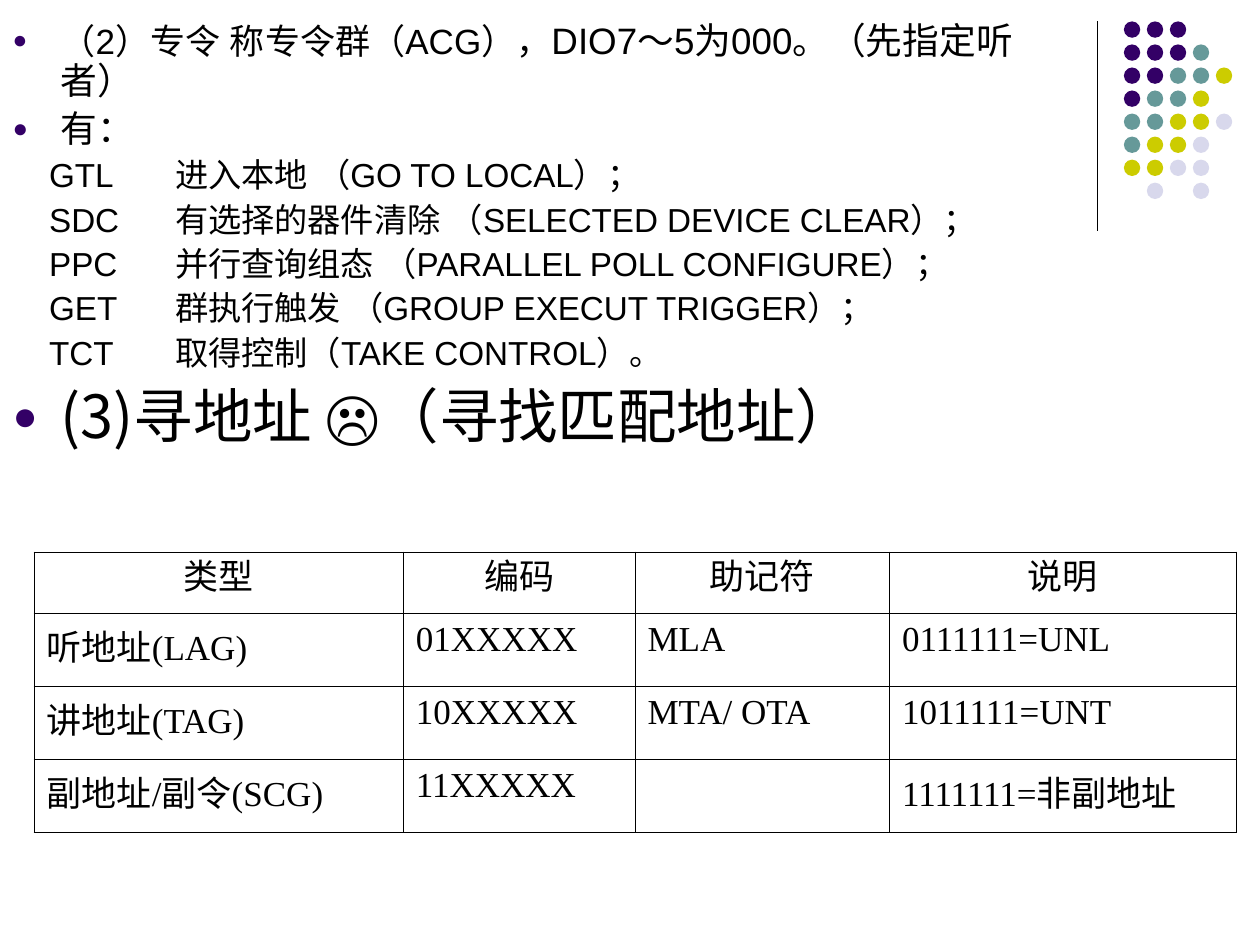
import pptx
import pptx.util
import pptx.dml.color
import pptx.enum.shapes
import pptx.enum.text
import pptx.oxml
import pptx.oxml.ns
from pptx.util import Inches

THEME = {
    "ink": "000000", "paper": "FFFFFF", "bullet": "330066",
    "dots": {"P": "330066", "T": "669999", "Y": "CCCC00", "L": "D8D8EC"},
    "latin": "Arial", "cjk": "Noto Sans CJK SC", "serif": "Times New Roman",
    "lead": 20, "text": 21, "command": 19, "heading": 34, "table": 20,
    "rule": 0.75, "border": 0.45,
}

INTRO = [
    [("（2）专令 称专令群（ACG），", "latin", "lead"),
     ("DIO7～5为000。（先指定听者）", "latin", "text")],
    [("有：", "latin", "text")],
]
COMMANDS = [
    ("GTL", "进入本地 （GO TO LOCAL）；"),
    ("SDC", "有选择的器件清除 （SELECTED DEVICE CLEAR）；"),
    ("PPC", "并行查询组态 （PARALLEL POLL CONFIGURE）；"),
    ("GET", "群执行触发 （GROUP EXECUT TRIGGER）；"),
    ("TCT", "取得控制（TAKE CONTROL）。"),
]
ADDRESSING = [("(3)寻地址 ", "cjk", "heading"), ("☹（寻找匹配地址）", "latin", "heading")]

HEADER = ["类型", "编码", "助记符", "说明"]
ROWS = [
    [[("听地址", "cjk"), ("(LAG)", "serif")], [("01XXXXX", "serif")],
     [("MLA", "serif")], [("0111111=UNL", "serif")]],
    [[("讲地址", "cjk"), ("(TAG)", "serif")], [("10XXXXX", "serif")],
     [("MTA/ OTA", "serif")], [("1011111=UNT", "serif")]],
    [[("副地址", "cjk"), ("/", "serif"), ("副令", "cjk"), ("(SCG)", "serif")],
     [("11XXXXX", "serif")], [], [("1111111=", "serif"), ("非副地址", "cjk")]],
]
COLUMN_WIDTHS = [2.93, 1.84, 2.02, 2.75]
ROW_HEIGHTS = [0.49, 0.58, 0.58, 0.58]

DOTS = ["PPP", "PPPT", "PPTTY", "PTTY", "TTYYL", "TYYL", "YYLL", " L L"]
DOT_SIZE = 0.13
DOT_LEFT, DOT_RIGHT = 8.92, 9.65
DOT_TOP, DOT_BOTTOM = 0.17, 1.45


def color(name):
    return pptx.dml.color.RGBColor.from_string(name)


def element(parent, tag, **attributes):
    child = pptx.oxml.ns.qn(tag)
    node = parent.makeelement(child, attributes)
    parent.append(node)
    return node


def add_text(para, text, font="latin", size="table"):
    span = para.add_run()
    span.text = text
    span.font.size = pptx.util.Pt(THEME[size])
    span.font.name = THEME[font]
    span.font.color.rgb = color(THEME["ink"])
    element(span.font._element, "a:ea", typeface=THEME[font])


def format_para(para, before=0, indent=0.38, bullet=True, tab=None):
    para.line_spacing = 0.9
    para.space_before = pptx.util.Pt(before)
    para.space_after = pptx.util.Pt(0)
    properties = para._p.get_or_add_pPr()
    properties.set("marL", str(Inches(indent)))
    properties.set("indent", str(-Inches(indent) if bullet else 0))
    if bullet:
        tint = element(properties, "a:buClr")
        element(tint, "a:srgbClr", val=THEME["bullet"])
        element(properties, "a:buSzPct", val="70000")
        element(properties, "a:buFont", typeface=THEME["latin"])
        element(properties, "a:buChar", char="●")
    else:
        element(properties, "a:buNone")
    if tab:
        stops = element(properties, "a:tabLst")
        element(stops, "a:tab", pos=str(Inches(tab)), algn="l")


def add_dots(page):
    step_x = (DOT_RIGHT - DOT_LEFT) / (max(map(len, DOTS)) - 1)
    step_y = (DOT_BOTTOM - DOT_TOP) / (len(DOTS) - 1)
    group = page.shapes.add_group_shape()
    for row, line in enumerate(DOTS):
        for column, key in enumerate(line):
            if key == " ":
                continue
            dot = group.shapes.add_shape(
                pptx.enum.shapes.MSO_SHAPE.OVAL,
                Inches(DOT_LEFT + column * step_x), Inches(DOT_TOP + row * step_y),
                Inches(DOT_SIZE), Inches(DOT_SIZE))
            dot.shadow.inherit = False
            dot.fill.solid()
            dot.fill.fore_color.rgb = color(THEME["dots"][key])
            dot.line.fill.background()


def add_rule(page):
    rule = page.shapes.add_connector(
        pptx.enum.shapes.MSO_CONNECTOR.STRAIGHT,
        Inches(8.71), Inches(0.17), Inches(8.71), Inches(1.83))
    rule.line.color.rgb = color(THEME["ink"])
    rule.line.width = pptx.util.Pt(THEME["rule"])
    element(rule._element.spPr, "a:effectLst")


def fill_body(box):
    box.left, box.top, box.width, box.height = map(Inches, (0, 0.13, 8.7, 4.33))
    frame = box.text_frame
    frame.word_wrap = True
    frame.auto_size = pptx.enum.text.MSO_AUTO_SIZE.NONE
    frame.vertical_anchor = pptx.enum.text.MSO_ANCHOR.TOP
    lines = [(spans, {"before": 5.2 if number else 0}) for number, spans in enumerate(INTRO)]
    lines += [([(code + "\t" + meaning, "latin", "command")],
               {"before": 4.8, "indent": 0.29, "bullet": False, "tab": 1.03})
              for code, meaning in COMMANDS]
    lines.append((ADDRESSING, {"before": 8.5}))
    for number, (spans, style) in enumerate(lines):
        para = frame.add_paragraph() if number else frame.paragraphs[0]
        format_para(para, **style)
        for text, font, size in spans:
            add_text(para, text, font=font, size=size)


def format_cell(cell):
    properties = cell._tc.get_or_add_tcPr()
    for side in ("a:lnL", "a:lnR", "a:lnT", "a:lnB"):
        border = element(properties, side, w=str(pptx.util.Pt(THEME["border"])))
        paint = element(border, "a:solidFill")
        element(paint, "a:srgbClr", val=THEME["ink"])
    cell.fill.solid()
    cell.fill.fore_color.rgb = color(THEME["paper"])


def add_address_table(page):
    rows = [[[(title, "latin")] for title in HEADER]] + ROWS
    table = page.shapes.add_table(
        len(rows), len(HEADER), Inches(0.27), Inches(4.38),
        Inches(sum(COLUMN_WIDTHS)), Inches(sum(ROW_HEIGHTS))).table
    table.first_row = table.horz_banding = False
    for column, width in zip(table.columns, COLUMN_WIDTHS):
        column.width = Inches(width)
    for row, height, contents in zip(table.rows, ROW_HEIGHTS, rows):
        row.height = Inches(height)
        for cell, spans in zip(row.cells, contents):
            format_cell(cell)
            para = cell.text_frame.paragraphs[0]
            if contents is rows[0]:
                para.alignment = pptx.enum.text.PP_ALIGN.CENTER
            for text, font in spans:
                add_text(para, text, font=font)


def main():
    deck = pptx.Presentation()
    deck.slide_width, deck.slide_height = Inches(10), Inches(7.5)
    page = deck.slides.add_slide(deck.slide_layouts[1])
    title = page.shapes.title._element
    title.getparent().remove(title)
    add_rule(page)
    add_dots(page)
    fill_body(page.placeholders[1])
    add_address_table(page)
    deck.save("out.pptx")


if __name__ == "__main__":
    main()
